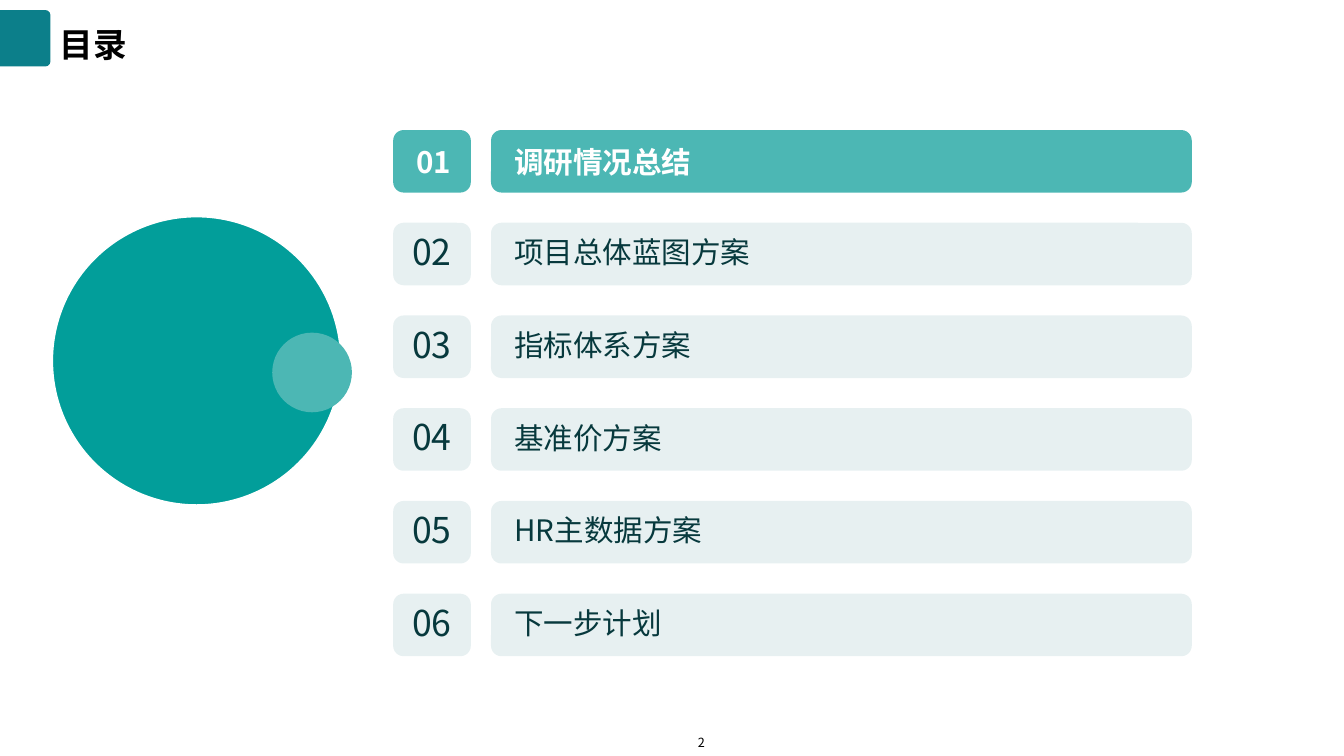
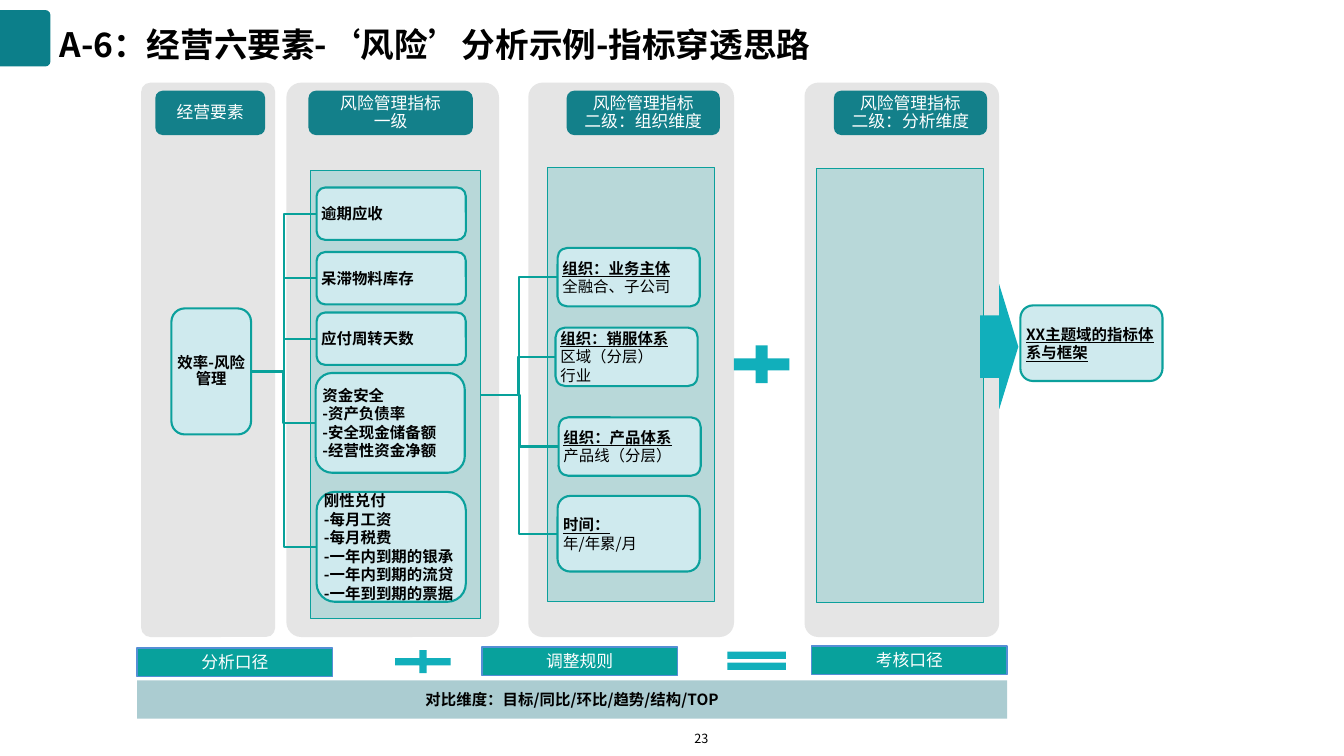
from lxml import etree
from pptx import Presentation
from pptx.dml.color import RGBColor
from pptx.enum.shapes import MSO_CONNECTOR, MSO_SHAPE
from pptx.enum.text import MSO_ANCHOR, PP_ALIGN
from pptx.oxml.ns import qn
from pptx.util import Inches, Pt

RECT = MSO_SHAPE.RECTANGLE
ROUNDED = MSO_SHAPE.ROUNDED_RECTANGLE
TAB = MSO_SHAPE.ROUND_2_SAME_RECTANGLE
OVAL = MSO_SHAPE.OVAL
PLUS = MSO_SHAPE.MATH_PLUS
EQUAL = MSO_SHAPE.MATH_EQUAL
ARROW = MSO_SHAPE.RIGHT_ARROW
ELBOW = MSO_CONNECTOR.ELBOW
LEFT, CENTER = PP_ALIGN.LEFT, PP_ALIGN.CENTER
TOP, MIDDLE = MSO_ANCHOR.TOP, MSO_ANCHOR.MIDDLE
SIDE_LEFT, SIDE_RIGHT = 1, 3

FONT = "Noto Sans CJK SC"
COLORS = {
    "white": "FFFFFF",
    "black": "000000",
    "tab": "0C7F8A",
    "agenda_text": "07393D",
    "agenda_row": "1A757E",
    "agenda_active": "4CB7B4",
    "circle": "029E9A",
    "column": "E5E5E5",
    "panel": "B8D8D9",
    "outline": "0BA09C",
    "link": "08A19A",
    "header": "13808A",
    "card": "CFEAEE",
    "symbol": "11AFBB",
    "scope": "08A19C",
    "scope_line": "558ED5",
    "compare": "ABCCD1",
}
AGENDA = ["调研情况总结", "项目总体蓝图方案", "指标体系方案",
          "基准价方案", "HR主数据方案", "下一步计划"]

# left, width
COLUMNS = [(1.4, 1.33), (2.84, 2.11), (5.24, 2.04), (7.98, 1.93)]
# left, width, lines
HEADERS = [
    (1.54, 1.09, ["经营要素"]),
    (3.06, 1.63, ["风险管理指标", "一级"]),
    (5.62, 1.52, ["风险管理指标", "二级：组织维度"]),
    (8.27, 1.52, ["风险管理指标", "二级：分析维度"]),
]
# left, top, width, height
PANELS = [(3.08, 1.69, 1.69, 4.45), (5.43, 1.66, 1.66, 4.31),
          (8.1, 1.67, 1.66, 4.31)]
# left, top, height, lines
INDICATORS = [
    (3.14, 1.86, 0.52, ["逾期应收"]),
    (3.14, 2.5, 0.52, ["呆滞物料库存"]),
    (3.14, 3.1, 0.52, ["应付周转天数"]),
    (3.13, 3.7, 0.99, ["资金安全", "-资产负债率", "-安全现金储备额",
                       "-经营性资金净额"]),
    (3.14, 4.88, 1.09, ["刚性兑付", "-每月工资", "-每月税费",
                        "-一年内到期的银承", "-一年内到期的流贷",
                        "-一年到到期的票据"]),
]
DIMENSIONS = [
    (5.53, 2.46, 0.58, ["组织：业务主体", "全融合、子公司"]),
    (5.51, 3.25, 0.58, ["组织：销服体系", "区域（分层）", "行业"]),
    (5.54, 4.14, 0.58, ["组织：产品体系", "产品线（分层）"]),
    (5.53, 4.92, 0.75, ["时间：", "年/年累/月"]),
]
# left, top, text
SCOPES = [(1.36, 6.43, "分析口径"), (4.78, 6.42, "调整规则"),
          (8.05, 6.41, "考核口径")]
# shape, left, top, width, height
SYMBOLS = [
    (PLUS, 7.18, 3.36, 0.75, 0.51),
    (PLUS, 3.82, 6.41, 0.75, 0.31),
    (EQUAL, 7.11, 6.4, 0.79, 0.31),
    (ARROW, 9.72, 2.82, 0.38, 1.24),
]


def rgb(name):
    return RGBColor.from_string(COLORS[name])


def write(sp, lines, size=11, color="black", bold=False, heading=False,
          align=LEFT, anchor=MIDDLE, spacing=None,
          insets=(0.1, 0.05, 0.1, 0.05), wrap=True):
    """Fill a shape with paragraphs; heading makes only the first one bold and underlined."""
    tf = sp.text_frame
    tf.word_wrap = wrap
    tf.vertical_anchor = anchor
    tf.margin_left, tf.margin_top, tf.margin_right, tf.margin_bottom = map(Inches, insets)
    for i, line in enumerate(lines):
        p = tf.paragraphs[0] if i == 0 else tf.add_paragraph()
        p.alignment = align
        if spacing:
            p.line_spacing = spacing
        r = p.add_run()
        r.text = line
        is_heading = heading and i == 0
        r.font.size = Pt(size)
        r.font.bold = bold or is_heading
        r.font.underline = is_heading
        r.font.color.rgb = rgb(color)
        r.font.name = FONT
        etree.SubElement(r.font._element, qn("a:ea"), typeface=FONT)


def add_box(s, kind, left, top, width, height, fill, line=None, line_width=1, alpha=None):
    sp = s.shapes.add_shape(kind, Inches(left), Inches(top), Inches(width), Inches(height))
    sp.shadow.inherit = False
    sp.fill.solid()
    sp.fill.fore_color.rgb = rgb(fill)
    if alpha is not None:
        color = sp._element.spPr.find(".//" + qn("a:srgbClr"))
        etree.SubElement(color, qn("a:alpha"), val=str(alpha * 1000))
    if line:
        sp.line.color.rgb = rgb(line)
        sp.line.width = Pt(line_width)
    else:
        sp.line.fill.background()
    return sp


def add_label(s, left, top, width, height, text, **fmt):
    sp = s.shapes.add_textbox(Inches(left), Inches(top), Inches(width), Inches(height))
    write(sp, [text], **fmt)


def add_card(s, left, top, width, height, lines, **fmt):
    sp = add_box(s, ROUNDED, left, top, width, height, "card", "outline", 1.5)
    write(sp, lines, insets=(0.02,) * 4, **fmt)
    return sp


def link(s, source, target):
    """Join the right side of source to the left side of target."""
    c = s.shapes.add_connector(ELBOW, 0, 0, 0, 0)
    c.begin_connect(source, SIDE_RIGHT)
    c.end_connect(target, SIDE_LEFT)
    c.line.color.rgb = rgb("link")
    c.line.width = Pt(1.5)
    etree.SubElement(c._element.spPr, qn("a:effectLst"))


def add_slide(prs, title, number, number_top):
    s = prs.slides.add_slide(prs.slide_layouts[6])
    tab = add_box(s, TAB, -0.03, 0.13, 0.56, 0.5, "tab")
    tab.rotation = 90
    tab.adjustments[0] = 0.1
    add_label(s, 0.59, 0.1, 11.62, 0.56, title, size=24, bold=True,
              spacing=1.3, insets=(0,) * 4)
    add_label(s, 6.65, number_top, 0.61, 0.25, number, size=9, align=CENTER,
              anchor=TOP, insets=(0.04, 0.05, 0.04, 0.05))
    return s


def build_agenda(prs):
    s = add_slide(prs, "目录", "2", 7.24)
    add_box(s, OVAL, 0.52, 2.15, 2.86, 2.86, "circle", "white")
    add_box(s, OVAL, 2.7, 3.3, 0.79, 0.79, "agenda_active")
    row_insets = (0.2, 0.04, 0.07, 0.04)
    for i, topic in enumerate(AGENDA):
        if i == 0:
            box = {"fill": "agenda_active"}
            topic_fmt = {"size": 21.1, "color": "white", "bold": True, "insets": row_insets}
            number_fmt = topic_fmt
        else:
            box = {"fill": "agenda_row", "alpha": 10}
            topic_fmt = {"size": 21.1, "color": "agenda_text", "spacing": 0.9,
                         "insets": row_insets}
            number_fmt = {**topic_fmt, "size": 25.4, "align": CENTER,
                          "insets": (0,) * 4, "wrap": False}
        top = 1.29 + 0.92 * i
        write(add_box(s, ROUNDED, 3.9, top, 0.77, 0.62, **box), [f"{i + 1:02}"], **number_fmt)
        write(add_box(s, ROUNDED, 4.87, top, 6.95, 0.62, **box), [topic], **topic_fmt)


def build_risk_map(prs):
    s = add_slide(prs, "A-6：经营六要素-‘风险’分析示例-指标穿透思路", "23", 7.2)
    for left, width in COLUMNS:
        column = add_box(s, ROUNDED, left, 0.82, width, 5.5, "column")
        column.adjustments[0] = 0.07
    for left, width, lines in HEADERS:
        header = add_box(s, ROUNDED, left, 0.9, width, 0.44, "header")
        write(header, lines, size=12, color="white", align=CENTER, spacing=0.9,
              insets=(0.09, 0.04, 0.09, 0.04))
    panels = [add_box(s, RECT, *place, "panel", "outline", 0.75) for place in PANELS]

    root = add_card(s, 1.7, 3.06, 0.79, 1.25, ["效率-风险管理"], bold=True,
                    align=CENTER, spacing=0.9)
    for left, top, height, lines in INDICATORS:
        link(s, root, add_card(s, left, top, 1.48, height, lines, bold=True))
    for left, top, height, lines in DIMENSIONS:
        link(s, panels[0], add_card(s, left, top, 1.41, height, lines, heading=True))
    add_card(s, 10.12, 3.03, 1.41, 0.75, ["XX主题域的指标体系与框架"], heading=True)

    for symbol in SYMBOLS:
        add_box(s, *symbol, "symbol")
    for left, top, text in SCOPES:
        scope = add_box(s, RECT, left, top, 1.94, 0.28, "scope", "scope_line")
        write(scope, [text], size=12, color="white", align=CENTER)
    compare = add_box(s, RECT, 1.36, 6.75, 8.63, 0.38, "compare")
    write(compare, ["对比维度：目标/同比/环比/趋势/结构/TOP"], bold=True, align=CENTER)


def main():
    prs = Presentation()
    prs.slide_width, prs.slide_height = Inches(13.33), Inches(7.5)
    build_agenda(prs)
    build_risk_map(prs)
    prs.save("out.pptx")


if __name__ == "__main__":
    main()
